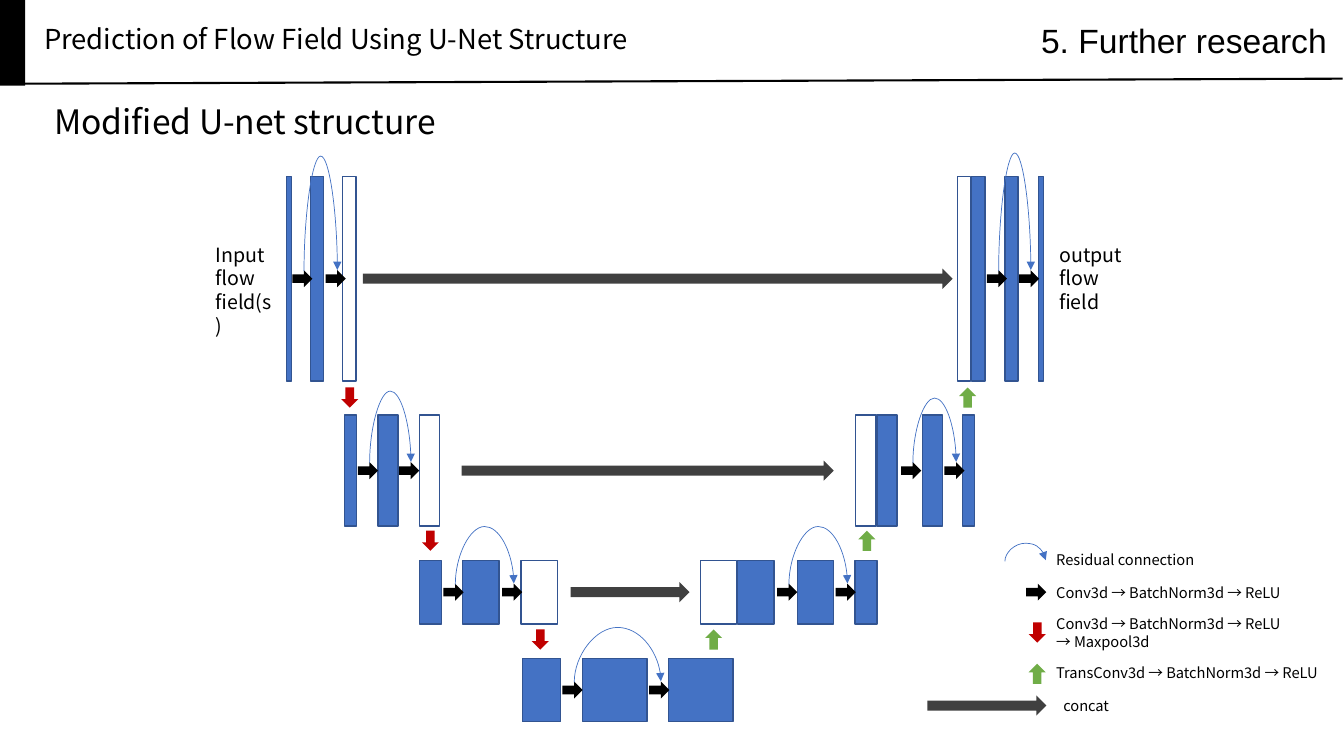
from lxml import etree
from pptx import Presentation
from pptx.dml.color import RGBColor
from pptx.enum.shapes import MSO_CONNECTOR, MSO_SHAPE
from pptx.enum.text import MSO_ANCHOR, PP_ALIGN
from pptx.oxml.ns import qn
from pptx.util import Pt

BLACK = RGBColor(0x00, 0x00, 0x00)
WHITE = RGBColor(0xFF, 0xFF, 0xFF)
BLUE = RGBColor(0x44, 0x72, 0xC4)
NAVY = RGBColor(0x32, 0x54, 0x91)
RED = RGBColor(0xC0, 0x00, 0x00)
GREEN = RGBColor(0x70, 0xAD, 0x47)
GRAY = RGBColor(0x40, 0x40, 0x40)

RECTANGLE, RIGHT_ARROW = MSO_SHAPE.RECTANGLE, MSO_SHAPE.RIGHT_ARROW
STRAIGHT, CURVE = MSO_CONNECTOR.STRAIGHT, MSO_CONNECTOR.CURVE
TOP, MIDDLE = MSO_ANCHOR.TOP, MSO_ANCHOR.MIDDLE
LEFT, CENTER, RIGHT = PP_ALIGN.LEFT, PP_ALIGN.CENTER, PP_ALIGN.RIGHT

ARROW_WIDTH, ARROW_HEIGHT = 14.4, 12.2
CONCAT_HEIGHT = 14.4
RESIDUAL_SHIFT = 8.4
DOWN, UP = 90, 270

LEVELS = [
    dict(top=126, height=146.2,
         blocks=[(204.5, 3.6, BLUE), (221.8, 9.4, BLUE), (244.8, 9.4, WHITE),
                 (684, 9.4, WHITE), (694.1, 9.4, BLUE), (717.8, 9.4, BLUE), (741.6, 3.6, BLUE)],
         convolutions=[(208.8, 232.6, 82.8), (704.9, 727.9, 85)],
         concat=[(259.2, 421.2)]),
    dict(top=296.6, height=79.2,
         blocks=[(246.2, 8.6, BLUE), (270, 14.4, BLUE), (299.5, 14.4, WHITE),
                 (611.3, 14.4, WHITE), (626.4, 14.4, BLUE), (658.8, 14.4, BLUE), (687.6, 8.6, BLUE)],
         convolutions=[(255.6, 285.1, 51.8), (643.7, 674.6, 46.8)],
         concat=[(329.8, 265.7)]),
    dict(top=400.3, height=45.4,
         blocks=[(299.5, 15.8, BLUE), (330.5, 25.9, BLUE), (372.2, 25.9, WHITE),
                 (500.4, 25.9, WHITE), (527, 25.9, BLUE), (569.5, 25.9, BLUE), (610.6, 15.8, BLUE)],
         convolutions=[(316.8, 358.6, 41.8), (555.1, 596.9, 41.8)],
         concat=[(407.5, 85)]),
    dict(top=470.2, height=45.4,
         blocks=[(373, 27.4, BLUE), (416.2, 46.1, BLUE), (477.4, 46.1, BLUE)],
         convolutions=[(401.8, 463.7, 39.6)],
         concat=[]),
]

LEVEL_CHANGES = [(277.9, 242.6, 684), (380.2, 300.2, 612), (450.7, 378.7, 502.6)]

LEGEND = [
    ("Residual connection", 390.2, 177.1, 20.2, LEFT),
    ("Conv3d → BatchNorm3d → ReLU", 413.3, 177.1, 20.2, LEFT),
    ("Conv3d → BatchNorm3d → ReLU → Maxpool3d", 435.6, 177.1, 32.4, LEFT),
    ("TransConv3d → BatchNorm3d → ReLU", 470.9, 206.6, 20.2, LEFT),
    ("concat", 493.9, 56.9, 20.2, CENTER),
]


class Painter:
    font = "Noto Sans CJK KR"

    def __init__(self, page):
        self.page = page

    def shape(self, kind, left, top, width, height, fill, outline=None, rotation=0):
        shape = self.page.shapes.add_shape(kind, Pt(left), Pt(top), Pt(width), Pt(height))
        shape.shadow.inherit = False
        shape.rotation = rotation
        shape.fill.solid()
        shape.fill.fore_color.rgb = fill
        if outline is None:
            shape.line.fill.background()
        else:
            shape.line.color.rgb = outline
            shape.line.width = Pt(1)

    def arrow(self, left, top, fill, rotation=0):
        self.shape(RIGHT_ARROW, left, top, ARROW_WIDTH, ARROW_HEIGHT, fill, rotation=rotation)

    def concat(self, left, top, width):
        self.shape(RIGHT_ARROW, left, top, width, CONCAT_HEIGHT, GRAY)

    def line(self, kind, start_x, start_y, end_x, end_y, color, width):
        line = self.page.shapes.add_connector(kind, Pt(start_x), Pt(start_y), Pt(end_x), Pt(end_y))
        line.line.color.rgb = color
        line.line.width = Pt(width)
        etree.SubElement(line._element.spPr, qn("a:effectLst"))
        return line

    def residual(self, start, end, bottom, rise):
        drop = 0.8
        span = end - start
        left = (start + end - drop) / 2
        top = bottom - (drop + span) / 2
        curve = self.line(CURVE, left, top, left + drop, top + span, BLUE, 0.5)
        properties = curve._element.spPr
        frame = properties.find(qn("a:xfrm"))
        for name, value in dict(rot="5400000", flipH="1", flipV="1").items():
            frame.set(name, value)
        guides = properties.find(qn("a:prstGeom")).find(qn("a:avLst"))
        etree.SubElement(guides, qn("a:gd"), name="adj1", fmla=f"val {round(rise / drop * 100000)}")
        etree.SubElement(properties.find(qn("a:ln")), qn("a:tailEnd"), type="triangle")

    def text(self, words, left, top, width, height, size, **changes):
        style = dict(font=self.font, align=LEFT, anchor=TOP, spacing=1.0) | changes
        box = self.page.shapes.add_textbox(Pt(left), Pt(top), Pt(width), Pt(height))
        frame = box.text_frame
        frame.word_wrap = True
        frame.vertical_anchor = style["anchor"]
        para = frame.paragraphs[0]
        para.alignment = style["align"]
        para.line_spacing = style["spacing"]
        span = para.add_run()
        span.text = words
        for name, value in dict(name=style["font"], size=Pt(size)).items():
            setattr(span.font, name, value)
        span.font.color.rgb = BLACK

    def level(self, top, height, blocks, convolutions, concat):
        center = top + height / 2
        for left, width, fill in blocks:
            self.shape(RECTANGLE, left, top, width, height, fill, NAVY)
        for first, second, rise in convolutions:
            for left in (first, second):
                self.arrow(left, center - ARROW_HEIGHT / 2, BLACK)
            self.residual(first + RESIDUAL_SHIFT, second + RESIDUAL_SHIFT, center - 5.4, rise)
        for left, width in concat:
            self.concat(left, center - CONCAT_HEIGHT / 2, width)


def main():
    deck = Presentation()
    deck.slide_width, deck.slide_height = Pt(960), Pt(540)
    painter = Painter(deck.slides.add_slide(deck.slide_layouts[6]))

    painter.line(STRAIGHT, 17.3, 59.8, 959, 56.2, BLACK, 1.5)
    painter.shape(RECTANGLE, 0, 0, 18, 61.2, BLACK)
    painter.text("Modified U-net structure", 31.7, 67, 448.6, 43.2, 24, anchor=MIDDLE, spacing=0.9)
    painter.text("Prediction of Flow Field Using U-Net Structure", 24.5, 8.6, 475.2, 43.2, 19.6,
                 anchor=MIDDLE, spacing=0.7)
    painter.text("5. Further research", 506.2, 8.6, 448.6, 43.2, 24,
                 font="Arial", align=RIGHT, anchor=MIDDLE, spacing=0.9)

    for level in LEVELS:
        painter.level(**level)
    for top, down_left, up_left in LEVEL_CHANGES:
        painter.arrow(down_left, top, RED, DOWN)
        painter.arrow(up_left, top, GREEN, UP)
    painter.text("Input flow field(s)", 146.9, 169.9, 55.4, 58.3, 14)
    painter.text("output flow field", 749.5, 169.9, 63.4, 58.3, 14)

    painter.residual(717.8, 747, 401, 13)
    painter.arrow(733, 416.9, BLACK)
    painter.arrow(733.7, 445.7, RED, DOWN)
    painter.arrow(733.7, 475.2, GREEN, UP)
    painter.concat(662.4, 496.8, 85)
    for words, top, width, height, align in LEGEND:
        painter.text(words, 747.4, top, width, height, 10.5, align=align)

    deck.save("out.pptx")


if __name__ == "__main__":
    main()
